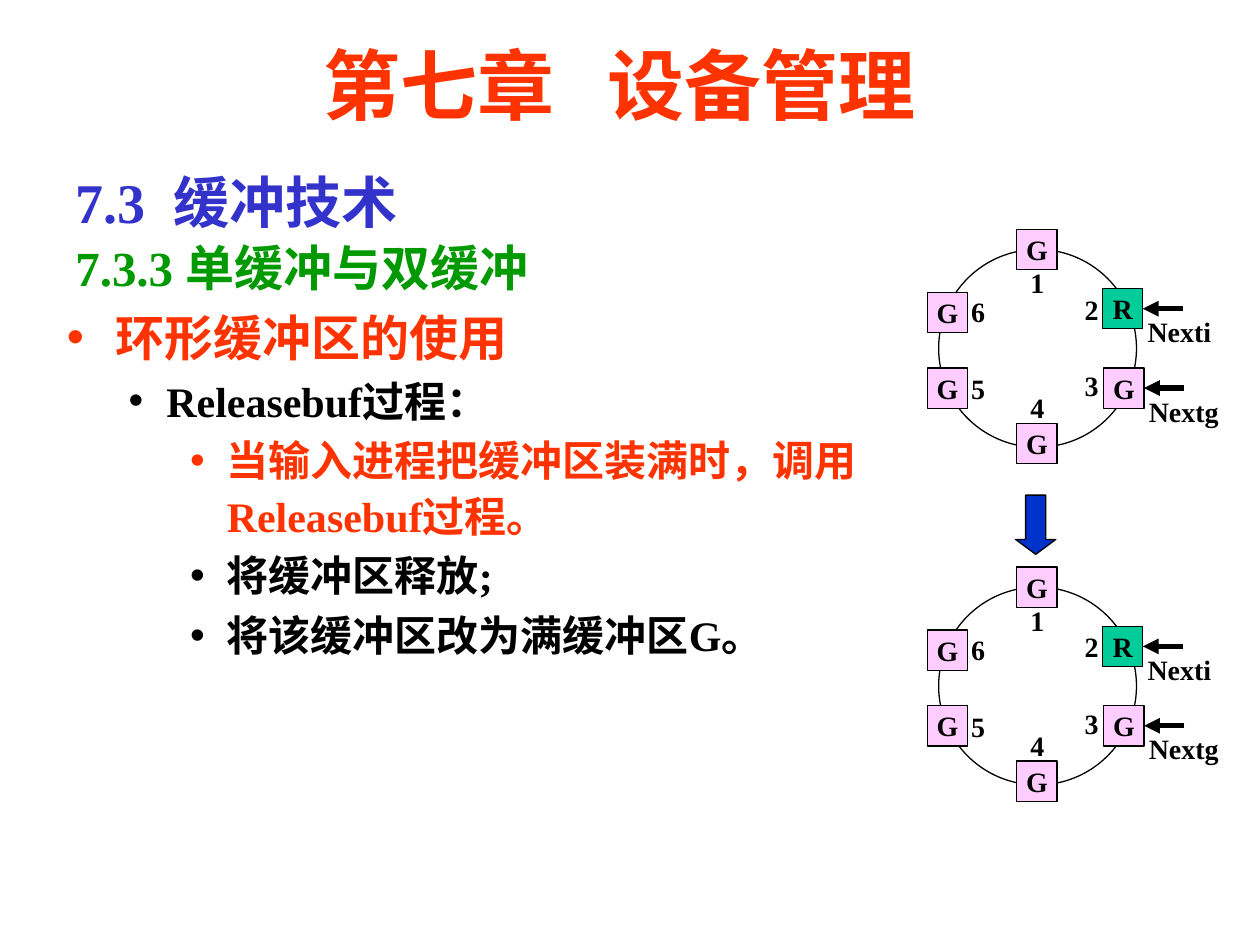
from lxml import etree
from pptx import Presentation
from pptx.dml.color import RGBColor
from pptx.enum.shapes import MSO_CONNECTOR, MSO_SHAPE
from pptx.enum.text import MSO_ANCHOR, MSO_AUTO_SIZE, PP_ALIGN
from pptx.oxml.ns import qn
from pptx.util import Inches, Pt

FONT = "Times New Roman"
RED, BLACK, PINK, TEAL = "FF3300", "000000", "FFCCFF", "00CC99"
BOX = 0.32  # side of one buffer square

# Buffer number: state, square offset, number offset (from the ring's corner)
BUFFERS = {
    1: ("G", (0.71, 0), (0.72, 0.24)),
    2: ("R", (1.39, 0.47), (1.15, 0.45)),
    3: ("G", (1.40, 1.10), (1.15, 1.06)),
    4: ("G", (0.71, 1.54), (0.72, 1.23)),
    5: ("G", (0, 1.10), (0.25, 1.08)),
    6: ("G", (0, 0.50), (0.25, 0.47)),
}
POINTERS = {"Nexti": 2, "Nextg": 3}

# Level, left margin, hanging indent, size, colour, text
BULLETS = [
    (0, 0.39, 0.39, 28, RED, "环形缓冲区的使用"),
    (1, 0.79, 0.30, 24, BLACK, "Releasebuf过程："),
    (2, 1.27, 0.29, 24, RED, "当输入进程把缓冲区装满时，调用Releasebuf过程。"),
    (2, 1.27, 0.29, 24, BLACK, "将缓冲区释放;"),
    (2, 1.27, 0.29, 24, BLACK, "将该缓冲区改为满缓冲区G。"),
]


def rgb(value):
    return RGBColor.from_string(value)


def add_run(p, text, size, color):
    r = p.add_run()
    r.text = text
    r.font.name, r.font.size, r.font.bold = FONT, Pt(size), True
    r.font.color.rgb = rgb(color)


def place(shape, x, y, w, h):
    shape.left, shape.top = Inches(x), Inches(y)
    shape.width, shape.height = Inches(w), Inches(h)


def add_outlined(shapes, kind, x, y, w, h, fill=None):
    sp = shapes.add_shape(kind, Inches(x), Inches(y), Inches(w), Inches(h))
    sp.shadow.inherit = False
    if fill:
        sp.fill.solid()
        sp.fill.fore_color.rgb = rgb(fill)
    else:
        sp.fill.background()
    sp.line.color.rgb = rgb(BLACK)
    sp.line.width = Pt(0.75)
    return sp


def add_text(shapes, x, y, w, h):
    tf = shapes.add_textbox(Inches(x), Inches(y), Inches(w), Inches(h)).text_frame
    tf.word_wrap = True
    return tf.paragraphs[0]


def add_title(title, x, y, w, h):
    place(title, x, y, w, h)
    tf = title.text_frame
    tf.auto_size = MSO_AUTO_SIZE.NONE
    tf.vertical_anchor = MSO_ANCHOR.MIDDLE
    p = tf.paragraphs[0]
    p.alignment = PP_ALIGN.CENTER
    add_run(p, "第七章   设备管理", 44, RED)


def add_headings(shapes, x, y, w, h):
    p = add_text(shapes, x, y, w, h)
    p.line_spacing = 1.05
    add_run(p, "7.3  缓冲技术", 32, "3333CC")
    p.add_line_break()
    add_run(p, "7.3.3 单缓冲与双缓冲", 28, "009900")


def add_bullets(body, x, y, w, h):
    place(body, x, y, w, h)
    tf = body.text_frame
    tf.auto_size = MSO_AUTO_SIZE.NONE
    for i, (level, margin, hang, size, color, text) in enumerate(BULLETS):
        p = tf.add_paragraph() if i else tf.paragraphs[0]
        p.level = level
        p.line_spacing = 1.1
        p.space_before = Pt(size * 0.1 if i else 0)
        pPr = p._p.get_or_add_pPr()
        pPr.set("marL", str(Inches(margin)))
        pPr.set("indent", str(-Inches(hang)))
        etree.SubElement(pPr, qn("a:buChar")).set("char", "•")
        add_run(p, text, size, color)


def add_pointer(shapes, name, target, x, y):
    """Arrow into the right side of a buffer, with its name below."""
    mid = y + BOX / 2
    line = shapes.add_connector(MSO_CONNECTOR.STRAIGHT, Inches(x + 0.32), Inches(mid),
                                Inches(x), Inches(mid))
    line.end_connect(target, 3)
    line.line.color.rgb = rgb(BLACK)
    line.line.width = Pt(3)
    etree.SubElement(line.line._get_or_add_ln(), qn("a:tailEnd")).set("type", "triangle")
    etree.SubElement(line._element.spPr, qn("a:effectLst"))
    add_run(add_text(shapes, x - 0.06, mid, 0.86, 0.37), name, 16, BLACK)


def add_ring(shapes, x, y):
    add_outlined(shapes, MSO_SHAPE.OVAL, x + 0.09, y + 0.16, 1.57, 1.57)
    squares = {}

    # Buffers and their numbers
    for number, (state, (bx, by), (nx, ny)) in BUFFERS.items():
        fill = TEAL if state == "R" else PINK
        sp = add_outlined(shapes, MSO_SHAPE.RECTANGLE, x + bx, y + by, BOX, BOX, fill)
        tf = sp.text_frame
        tf.word_wrap = False
        tf.vertical_anchor = MSO_ANCHOR.MIDDLE
        p = tf.paragraphs[0]
        p.alignment = PP_ALIGN.CENTER
        add_run(p, state, 16, BLACK)
        squares[number] = sp
        add_run(add_text(shapes, x + nx, y + ny, 0.32, 0.37), str(number), 16, BLACK)

    # Next-input and next-get pointers
    for name, number in POINTERS.items():
        bx, by = BUFFERS[number][1]
        add_pointer(shapes, name, squares[number], x + bx + BOX, y + by)


def add_down_arrow(shapes, x, y, w, h):
    sp = add_outlined(shapes, MSO_SHAPE.DOWN_ARROW, x, y, w, h, "0033CC")
    sp.adjustments[0], sp.adjustments[1] = 0.5, 0.37


def main():
    prs = Presentation()
    prs.slide_width, prs.slide_height = Inches(10), Inches(7.5)
    s = prs.slides.add_slide(prs.slide_layouts[1])

    # Text side
    add_title(s.shapes.title, 1.17, 0.25, 7.5, 0.83)
    add_headings(s.shapes, 0.5, 1.25, 9, 1.15)
    add_bullets(s.placeholders[1], 0.43, 2.34, 6.61, 3.3)

    # Ring before, then the arrow and the ring after
    add_ring(s.shapes, 7.36, 1.82)
    after = s.shapes.add_group_shape().shapes
    add_ring(after, 7.36, 4.5)
    add_down_arrow(after, 8.06, 3.93, 0.32, 0.47)

    prs.save("out.pptx")


if __name__ == "__main__":
    main()
